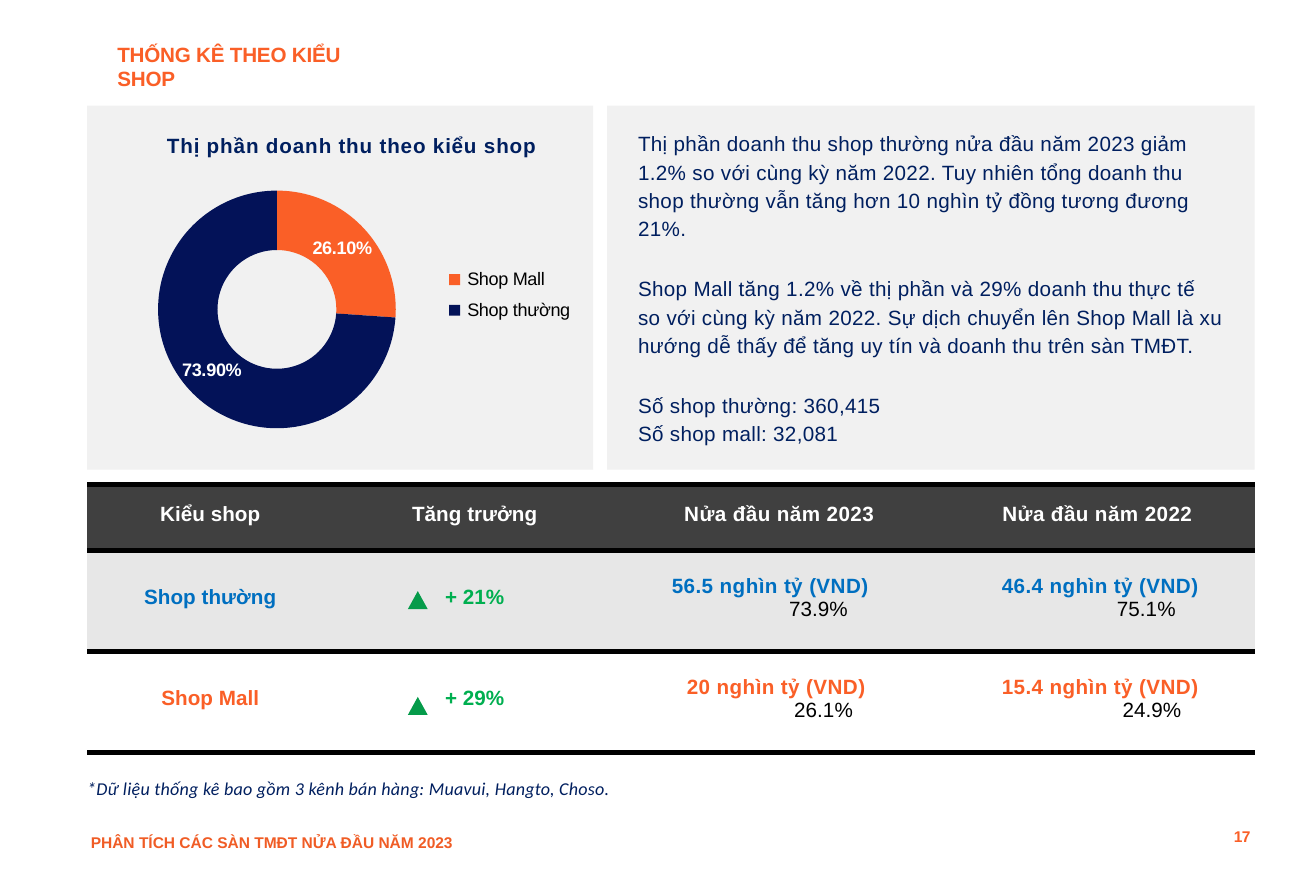
from lxml import etree
from pptx import Presentation
from pptx.chart.data import CategoryChartData
from pptx.dml.color import RGBColor
from pptx.enum.chart import XL_CHART_TYPE as ChartType, XL_LEGEND_POSITION as LegendPos
from pptx.enum.shapes import MSO_SHAPE as Preset
from pptx.enum.text import MSO_ANCHOR as Anchor, PP_ALIGN as Align
from pptx.oxml import parse_xml
from pptx.oxml.ns import nsdecls, qn
from pptx.util import Pt

ORANGE = RGBColor(0xFA, 0x5F, 0x27)
FOOTER_ORANGE = RGBColor(0xF0, 0x5C, 0x25)
DARK_NAVY = RGBColor(0x03, 0x12, 0x58)
NAVY = RGBColor(0x00, 0x1F, 0x5F)
BLUE = RGBColor(0x00, 0x6F, 0xC0)
GREEN = RGBColor(0x00, 0xAF, 0x50)
ARROW_GREEN = RGBColor(0x05, 0x9B, 0x4A)
PANEL_GREY = RGBColor(0xF1, 0xF1, 0xF1)
ROW_GREY = RGBColor(0xE7, 0xE7, 0xE7)
HEADER_GREY = RGBColor(0x40, 0x40, 0x40)
WHITE = RGBColor(0xFF, 0xFF, 0xFF)
BLACK = RGBColor(0x00, 0x00, 0x00)

PANEL_TOP, PANEL_HEIGHT = 41, 141
MARKET_LEFT, MARKET_WIDTH = 33.8, 196
NOTES_LEFT, NOTES_WIDTH = 235.2, 250.8
TABLE_TOP = 187.6
COLUMN_WIDTHS = (99.4, 101.5, 129.6, 121.7)
ROW_HEIGHTS = (25.6, 39.1, 39.1)
NO_TABLE_STYLE = "{2D5ABB26-0587-4C30-8999-92F81FD0307C}"

COMMENTARY = (
    "Thị phần doanh thu shop thường nửa đầu năm 2023 giảm\n"
    "1.2% so với cùng kỳ năm 2022. Tuy nhiên tổng doanh thu\n"
    "shop thường vẫn tăng hơn 10 nghìn tỷ đồng tương đương\n"
    "21%.",
    "Shop Mall tăng 1.2% về thị phần và 29% doanh thu thực tế\n"
    "so với cùng kỳ năm 2022. Sự dịch chuyển lên Shop Mall là xu\n"
    "hướng dễ thấy để tăng uy tín và doanh thu trên sàn TMĐT.",
    "Số shop thường: 360,415\nSố shop mall: 32,081",
)

# Each cell holds (text, left indent) lines; an indent of None means centred.
HEADER = ([("Kiểu shop", None)], [("Tăng trưởng", None)],
          [("Nửa đầu năm 2023", 30.4)], [("Nửa đầu năm 2022", 24)])
REGULAR_SHOP = ([("Shop thường", None)], [("+ 21%", None)],
                [("56.5 nghìn tỷ (VND)", 25.6), ("73.9%", 71)],
                [("46.4 nghìn tỷ (VND)", 23.8), ("75.1%", 68.4)])
MALL_SHOP = ([("Shop Mall", None)], [("+ 29%", None)],
             [("20 nghìn tỷ (VND)", 31.4), ("26.1%", 73)],
             [("15.4 nghìn tỷ (VND)", 23.8), ("24.9%", 70.6)])


def style_font(font, size, color, bold=False, italic=False, name="Arial"):
    font.name, font.size = name, Pt(size)
    font.bold, font.italic = bold, italic
    font.color.rgb = color


def write(paragraph, text, size, color, spacing=0, **style):
    """Add text run by run, breaking the line at each newline."""
    for index, line in enumerate(text.split("\n")):
        if index:
            paragraph.add_line_break()
        run = paragraph.add_run()
        run.text = line
        style_font(run.font, size, color, **style)
        if spacing:
            run.font._element.set("spc", str(round(spacing * 100)))


def set_margins(box, left=0, top=0, right=0, bottom=0):
    box.margin_left, box.margin_top = Pt(left), Pt(top)
    box.margin_right, box.margin_bottom = Pt(right), Pt(bottom)


def add_label(slide, left, top, width, text, size, color, align=Align.LEFT, **style):
    label = slide.shapes.add_textbox(Pt(left), Pt(top), Pt(width), Pt(10))
    frame = label.text_frame
    frame.word_wrap = True
    set_margins(frame)
    frame.paragraphs[0].alignment = align
    write(frame.paragraphs[0], text, size, color, **style)


def add_block(slide, preset, left, top, width, height, color):
    block = slide.shapes.add_shape(preset, Pt(left), Pt(top), Pt(width), Pt(height))
    block.shadow.inherit = False
    block.fill.solid()
    block.fill.fore_color.rgb = color
    block.line.fill.background()
    return block


def place_part(part, index, x, y, w=None, h=None):
    """Pin a chart part at fractions of the chart area."""
    for old in part.findall(qn("c:layout")):
        part.remove(old)
    layout = parse_xml(f"<c:layout {nsdecls('c')}><c:manualLayout/></c:layout>")
    values = [("layoutTarget", "inner")] if index == 0 else []
    values += [("xMode", "edge"), ("yMode", "edge"), ("x", x), ("y", y)]
    if w:
        values += [("w", w), ("h", h)]
    for tag, value in values:
        etree.SubElement(layout[0], qn(f"c:{tag}")).set("val", str(value))
    part.insert(index, layout)


def add_market_share(slide):
    add_block(slide, Preset.RECTANGLE, MARKET_LEFT, PANEL_TOP,
              MARKET_WIDTH, PANEL_HEIGHT, PANEL_GREY)
    shares = CategoryChartData(number_format="0.00%")
    shares.categories = ["Shop Mall", "Shop thường"]
    shares.add_series("Thị phần", (0.261, 0.739))
    chart = slide.shapes.add_chart(
        ChartType.DOUGHNUT, Pt(MARKET_LEFT), Pt(PANEL_TOP),
        Pt(MARKET_WIDTH), Pt(PANEL_HEIGHT), shares).chart
    style_font(chart.font, 7, BLACK)
    chart.has_title = True
    write(chart.chart_title.text_frame.paragraphs[0],
          "Thị phần doanh thu theo kiểu shop", 8, NAVY, spacing=0.2, bold=True)
    chart.has_legend = True
    chart.legend.position = LegendPos.RIGHT
    chart.legend.include_in_layout = False
    style_font(chart.legend.font, 7, BLACK)

    ring = chart.plots[0]
    ring.vary_by_categories = True
    ring.has_data_labels = True
    labels = ring.data_labels
    labels.show_value, labels.show_percentage = True, False
    labels.number_format, labels.number_format_is_linked = "0.00%", False
    style_font(labels.font, 7, WHITE, bold=True)
    for index, color in enumerate((ORANGE, DARK_NAVY)):
        slice_format = ring.series[0].points[index].format
        slice_format.fill.solid()
        slice_format.fill.fore_color.rgb = color
        slice_format.line.fill.background()

    space = chart.element
    place_part(space.find(".//" + qn("c:title")), 1, 0.15, 0.06)
    place_part(space.find(".//" + qn("c:plotArea")), 0, 0.14, 0.23, 0.47, 0.66)
    place_part(space.find(".//" + qn("c:legend")), 1, 0.68, 0.42, 0.31, 0.2)
    space.find(qn("c:txPr")).addprevious(parse_xml(
        f"<c:spPr {nsdecls('c', 'a')}><a:noFill/><a:ln><a:noFill/></a:ln></c:spPr>"))


def add_commentary(slide):
    panel = add_block(slide, Preset.RECTANGLE, NOTES_LEFT, PANEL_TOP,
                      NOTES_WIDTH, PANEL_HEIGHT, PANEL_GREY)
    frame = panel.text_frame
    frame.word_wrap = True
    frame.vertical_anchor = Anchor.TOP
    set_margins(frame, left=12, top=8.4)
    for index, text in enumerate(COMMENTARY):
        paragraph = frame.add_paragraph() if index else frame.paragraphs[0]
        paragraph.alignment = Align.LEFT
        paragraph.line_spacing = Pt(11)
        if index:
            paragraph.space_before = Pt(12.2)
        write(paragraph, text, 8, NAVY, spacing=0.1)


def rule_cell(cell):
    """Draw the black rules above and below a cell."""
    for side in ("lnT", "lnB"):
        cell._tc.get_or_add_tcPr().append(parse_xml(
            f'<a:{side} {nsdecls("a")} w="{Pt(2.25)}"><a:solidFill>'
            f'<a:srgbClr val="{BLACK}"/></a:solidFill></a:{side}>'))


def fill_cell(cell, lines, color, background):
    rule_cell(cell)
    if background is None:
        cell.fill.background()
    else:
        cell.fill.solid()
        cell.fill.fore_color.rgb = background
    cell.vertical_anchor = Anchor.MIDDLE
    set_margins(cell, bottom=2.5)
    for index, (text, indent) in enumerate(lines):
        frame = cell.text_frame
        paragraph = frame.add_paragraph() if index else frame.paragraphs[0]
        if indent is None:
            paragraph.alignment = Align.CENTER
        else:
            paragraph._p.get_or_add_pPr().set("marL", str(Pt(indent)))
        spacing = 0.15 if indent and not index else 0
        write(paragraph, text, 8, BLACK if index else color, spacing, bold=not index)


def add_growth_table(slide):
    frame = slide.shapes.add_table(
        len(ROW_HEIGHTS), len(COLUMN_WIDTHS), Pt(MARKET_LEFT), Pt(TABLE_TOP),
        Pt(sum(COLUMN_WIDTHS)), Pt(sum(ROW_HEIGHTS)))
    table = frame.table
    table.first_row = table.horz_banding = False
    frame.element.find(".//" + qn("a:tableStyleId")).text = NO_TABLE_STYLE
    for column, width in zip(table.columns, COLUMN_WIDTHS):
        column.width = Pt(width)
    looks = ((HEADER, WHITE, HEADER_GREY), (REGULAR_SHOP, BLUE, ROW_GREY),
             (MALL_SHOP, ORANGE, None))
    for r, (cells, color, background) in enumerate(looks):
        table.rows[r].height = Pt(ROW_HEIGHTS[r])
        for c, lines in enumerate(cells):
            is_growth = r > 0 and c == 1
            fill_cell(table.cell(r, c), lines, GREEN if is_growth else color, background)
        table.cell(r, 0).margin_right = Pt(4)
    for top in (229, 270):
        add_block(slide, Preset.ISOSCELES_TRIANGLE, 158, top, 7.7, 7, ARROW_GREEN)


def main():
    deck = Presentation()
    deck.slide_width, deck.slide_height = Pt(509.76), Pt(340.56)
    slide = deck.slides.add_slide(deck.slide_layouts[6])
    add_market_share(slide)
    add_growth_table(slide)
    add_commentary(slide)
    add_label(slide, 45.5, 16.1, 100, "THỐNG KÊ THEO KIỂU SHOP", 8, ORANGE,
              spacing=-0.1, bold=True)
    add_label(slide, 33.8, 301, 230,
              "*Dữ liệu thống kê bao gồm 3 kênh bán hàng: Muavui, Hangto, Choso.",
              7, NAVY, spacing=0.1, italic=True, name="Calibri")
    add_label(slide, 35.2, 322.8, 160, "PHÂN TÍCH CÁC SÀN TMĐT NỬA ĐẦU NĂM 2023",
              6, FOOTER_ORANGE, bold=True)
    add_label(slide, 464.4, 320.5, 20, "17", 6, ORANGE, Align.RIGHT,
              spacing=-0.2, bold=True)
    deck.save("out.pptx")


if __name__ == "__main__":
    main()
